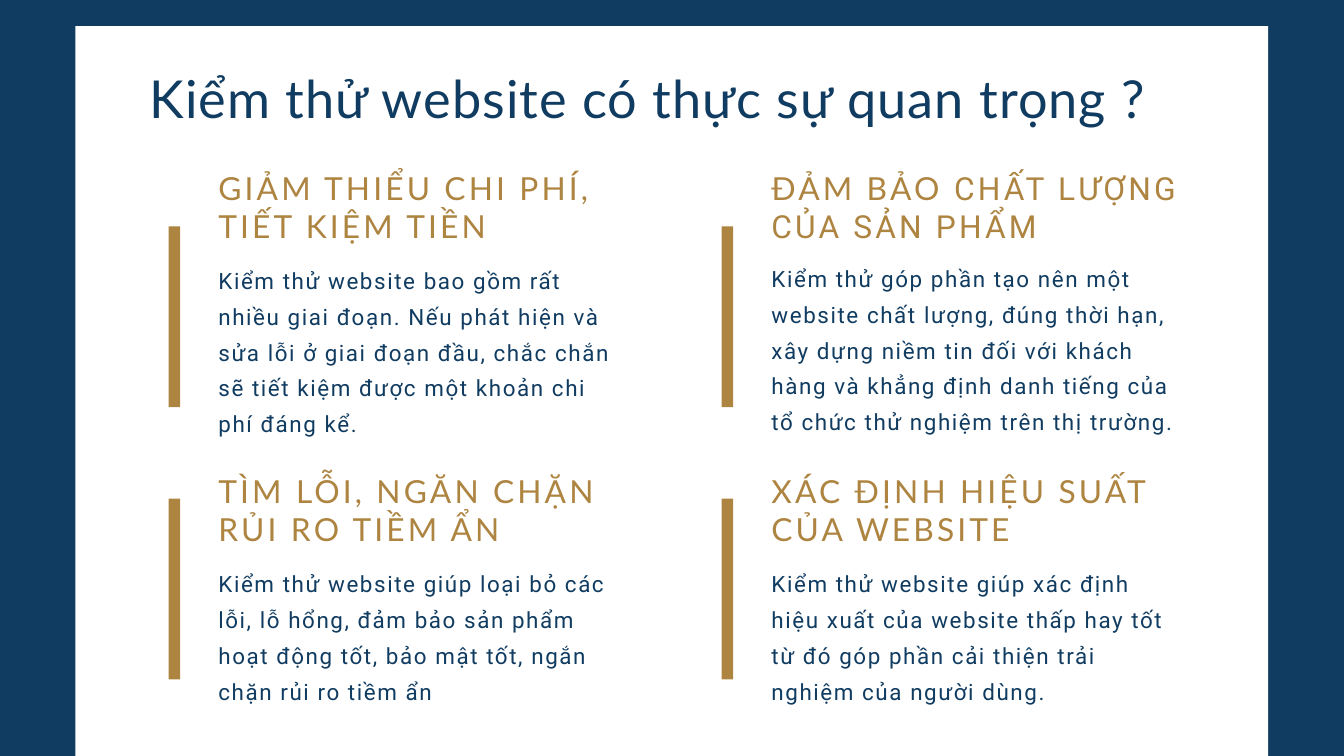
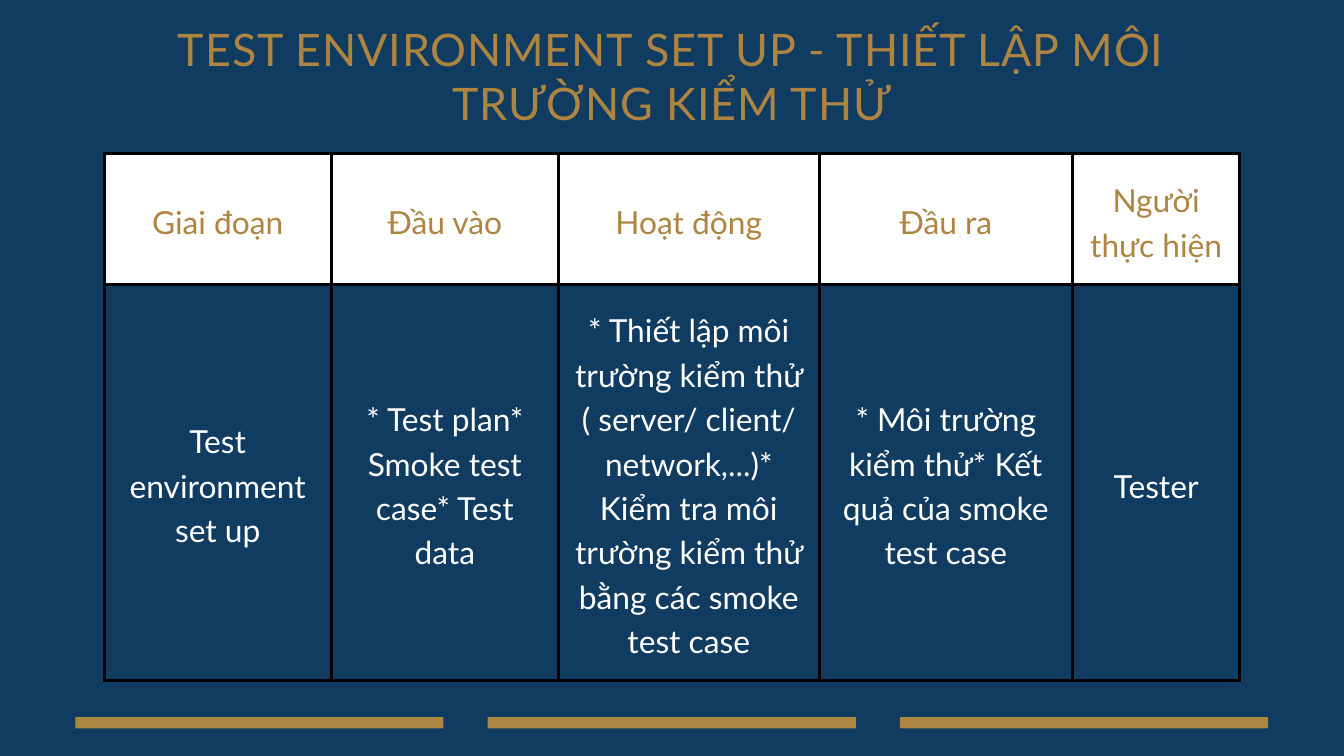
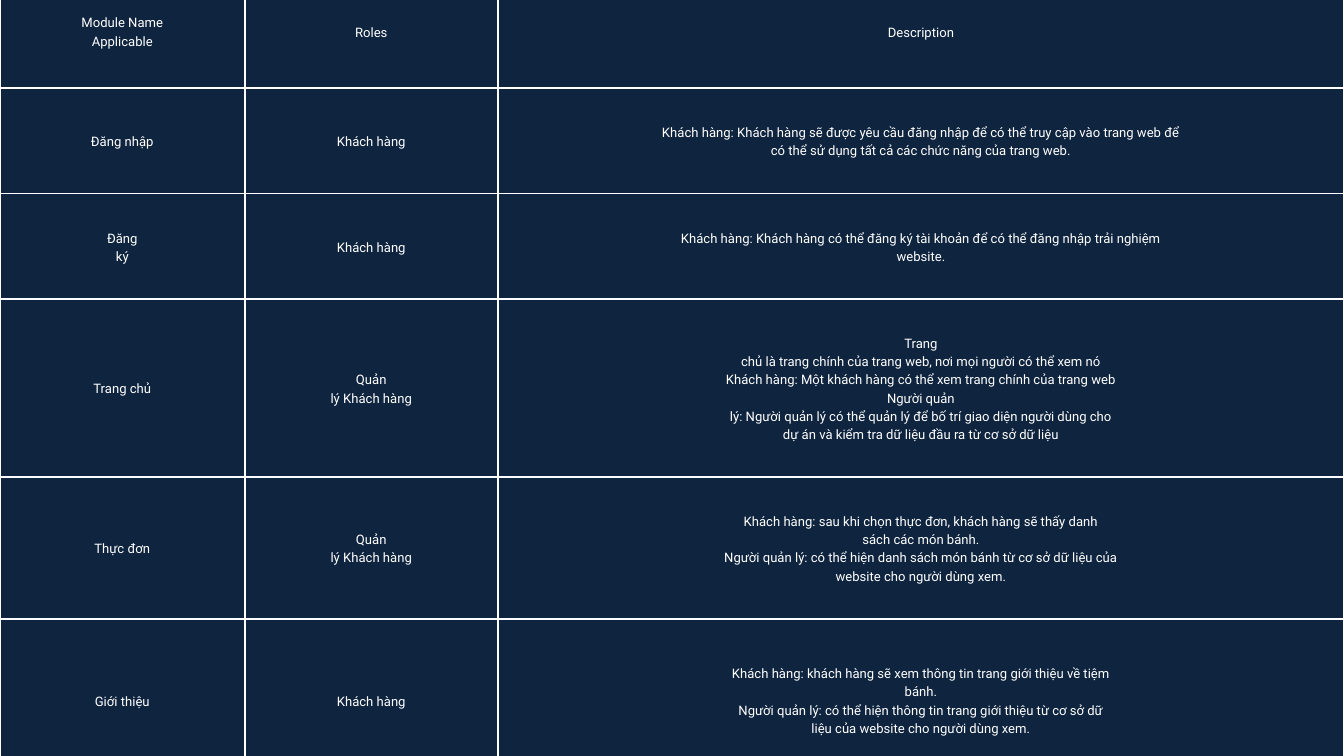
import pptx
import pptx.dml.color
import pptx.enum.shapes
import pptx.enum.text
import pptx.oxml
import pptx.oxml.ns
import pptx.util

# The grid has 20 columns and 11.25 rows; a unit is one inch.
COLUMNS, ROWS = 20, 11.25
MARGIN = 1.12
CONTENT_WIDTH = 17.75
BAR_THICKNESS = 0.17
CELL_INSET = 0.21

COLORS = {
    "navy": "113C61",
    "dark navy": "0F243E",
    "gold": "AE8441",
    "white": "FFFFFF",
    "black": "000000",
}

# font, size, colour, line spacing, letter spacing (all in points)
STYLES = {
    "question": ("Lato", 56, "navy", 73.4, 1.1),
    "title": ("Lato", 48, "gold", 57.6, 1),
    "heading": ("Lato", 34, "gold", 40.8, 3.4),
    "body": ("Roboto", 24, "navy", 38.4, 1.7),
    "stage header": ("Lato", 34, "gold", 47.6, 0),
    "stage cell": ("Lato", 34, "white", 47.6, 0),
    "module cell": ("Roboto", 14, "white", 19.6, 0),
}

BAR_COLUMNS = (2.51, 10.74)
BAR_ROWS = (3.37, 7.42)
HEADING_ROWS = (2.51, 7.02)
BAR_HEIGHT = 2.69
TEXT_INDENT = 0.74

# column, row, text width, body offset, body height, heading runs, body
REASONS = [
    (0, 0, 5.92, 1.33, 2.61, [("GIẢM THIỂU CHI PHÍ, TIẾT KIỆM TIỀN", "Lato")],
     "Kiểm thử website bao gồm rất nhiều giai đoạn. Nếu phát hiện và sửa lỗi "
     "ở giai đoạn đầu, chắc chắn sẽ tiết kiệm được một khoản chi phí đáng kể."),
    (0, 1, 5.92, 1.33, 2.08, [("TÌM LỖI, NGĂN CHẶN RỦI RO TIỀM ẨN", "Lato")],
     "Kiểm thử website giúp loại bỏ các lỗi, lỗ hổng, đảm bảo sản phẩm "
     "hoạt động tốt, bảo mật tốt, ngắn chặn rủi ro tiềm ẩn"),
    (1, 0, 6.29, 1.3, 2.61,
     [("ĐẢM BẢO ", "Lato"), ("CHẤT LƯỢNG CỦA SẢN PHẨM", "Roboto")],
     "Kiểm thử góp phần tạo nên một website chất lượng, đúng thời hạn, "
     "xây dựng niềm tin đối với khách hàng và khẳng định danh tiếng của "
     "tổ chức thử nghiệm trên thị trường."),
    (1, 1, 6.01, 1.33, 2.08, [("XÁC ĐỊNH HIỆU SUẤT CỦA WEBSITE", "Lato")],
     "Kiểm thử website giúp xác định hiệu xuất của website thấp hay tốt "
     "từ đó góp phần cải thiện trải nghiệm của người dùng."),
]

STAGE_WIDTHS = [3.38, 3.38, 3.88, 3.77, 2.49]
STAGE_HEADERS = ["Giai đoạn", "Đầu vào", "Hoạt động", "Đầu ra", "Người thực hiện"]
STAGE_VALUES = [
    "Test environment set up",
    "* Test plan* Smoke test case* Test data",
    "* Thiết lập môi trường kiểm thử ( server/ client/ network,...)* "
    "Kiểm tra môi trường kiểm thử bằng các smoke test case",
    "* Môi trường kiểm thử* Kết quả của smoke test case",
    "Tester",
]

MODULE_WIDTHS = [3.64, 3.77, 12.59]
MODULE_HEIGHTS = [1.69, 1.57, 1.57, 2.65, 2.11, 2.42]
MODULES = [
    ["Module Name\nApplicable", "Roles", "Description"],
    ["Đăng nhập", "Khách hàng",
     "Khách hàng: Khách hàng sẽ được yêu cầu đăng nhập để có thể truy cập vào trang web để\n"
     "có thể sử dụng tất cả các chức năng của trang web."],
    ["Đăng\nký", "Khách hàng",
     "Khách hàng: Khách hàng có thể đăng ký tài khoản để có thể đăng nhập trải nghiệm\n"
     "website."],
    ["Trang chủ", "Quản\nlý Khách hàng",
     "Trang\n"
     "chủ là trang chính của trang web, nơi mọi người có thể xem nó\n"
     "Khách hàng: Một khách hàng có thể xem trang chính của trang web\n"
     "Người quản\n"
     "lý: Người quản lý có thể quản lý để bố trí giao diện người dùng cho\n"
     "dự án và kiểm tra dữ liệu đầu ra từ cơ sở dữ liệu"],
    ["Thực đơn", "Quản\nlý Khách hàng",
     "Khách hàng: sau khi chọn thực đơn, khách hàng sẽ thấy danh\n"
     "sách các món bánh.\n"
     "Người quản lý: có thể hiện danh sách món bánh từ cơ sở dữ liệu của\n"
     "website cho người dùng xem."],
    ["Giới thiệu", "Khách hàng",
     "Khách hàng: khách hàng sẽ xem thông tin trang giới thiệu về tiệm\n"
     "bánh.\n"
     "Người quản lý: có thể hiện thông tin trang giới thiệu từ cơ sở dữ\n"
     "liệu của website cho người dùng xem."],
]


def color(name):
    return pptx.dml.color.RGBColor.from_string(COLORS[name])


def grid(*units):
    return [pptx.util.Inches(unit) for unit in units]


def add_slide(presentation, background):
    slide = presentation.slides.add_slide(presentation.slide_layouts[6])
    slide.background.fill.solid()
    slide.background.fill.fore_color.rgb = color(background)
    return slide


def add_rectangle(slide, area, fill):
    shape = slide.shapes.add_shape(
        pptx.enum.shapes.MSO_SHAPE.RECTANGLE, *grid(*area))
    shape.shadow.inherit = False
    shape.fill.solid()
    shape.fill.fore_color.rgb = color(fill)
    shape.line.fill.background()


def write_paragraph(paragraph, runs, style, centered=False):
    """Fill a paragraph with (text, font) runs; font None means the style's own."""
    font_name, size, ink, line_spacing, letter_spacing = STYLES[style]
    paragraph.line_spacing = pptx.util.Pt(line_spacing)
    if centered:
        paragraph.alignment = pptx.enum.text.PP_ALIGN.CENTER
    for text, run_font in runs:
        run = paragraph.add_run()
        run.text = text
        run.font.name = run_font or font_name
        run.font.size = pptx.util.Pt(size)
        run.font.color.rgb = color(ink)
        if letter_spacing:
            run._r.get_or_add_rPr().set("spc", str(round(letter_spacing * 100)))


def add_text(shapes, area, runs, style, centered=False):
    frame = shapes.add_textbox(*grid(*area)).text_frame
    frame.word_wrap = True
    frame.auto_size = pptx.enum.text.MSO_AUTO_SIZE.SHAPE_TO_FIT_TEXT
    frame.margin_left = frame.margin_top = 0
    frame.margin_right = frame.margin_bottom = 0
    write_paragraph(frame.paragraphs[0], runs, style, centered)


def set_borders(cell, ink, points):
    properties = cell._tc.get_or_add_tcPr()
    for side in ("lnL", "lnR", "lnT", "lnB"):
        properties.append(pptx.oxml.parse_xml(
            f'<a:{side} {pptx.oxml.ns.nsdecls("a")} w="{pptx.util.Pt(points)}">'
            f'<a:solidFill><a:srgbClr val="{COLORS[ink]}"/></a:solidFill>'
            f'</a:{side}>'))


def write_cell(cell, text, style, border, fill):
    set_borders(cell, *border)
    if fill:
        cell.fill.solid()
        cell.fill.fore_color.rgb = color(fill)
    else:
        cell.fill.background()
    cell.vertical_anchor = pptx.enum.text.MSO_ANCHOR.MIDDLE
    inset = pptx.util.Inches(CELL_INSET)
    cell.margin_left = cell.margin_right = inset
    cell.margin_top = cell.margin_bottom = inset
    frame = cell.text_frame
    for index, line in enumerate(text.split("\n")):
        paragraph = frame.add_paragraph() if index else frame.paragraphs[0]
        write_paragraph(paragraph, [(line, None)], style, centered=True)


def add_grid_table(slide, left, top, widths, heights, content, style, border, fill=None):
    area = grid(left, top, sum(widths), sum(heights))
    table = slide.shapes.add_table(len(heights), len(widths), *area).table
    table.first_row = table.horz_banding = False
    for column, width in zip(table.columns, grid(*widths)):
        column.width = width
    for row, height, texts in zip(table.rows, grid(*heights), content):
        row.height = height
        for cell, text in zip(row.cells, texts):
            write_cell(cell, text, style, border, fill)


def add_reason(slide, column, row, width, body_offset, body_height, heading, body):
    """Add a grouped heading and body with the gold bar to their left."""
    bar_left, top = BAR_COLUMNS[column], HEADING_ROWS[row]
    left = bar_left + TEXT_INDENT
    group = slide.shapes.add_group_shape()
    add_text(group.shapes, (left, top + body_offset, width, body_height),
             [(body, None)], "body")
    add_text(group.shapes, (left, top, width, 1.13), heading, "heading")
    add_rectangle(slide, (bar_left, BAR_ROWS[row], BAR_THICKNESS, BAR_HEIGHT), "gold")


def add_footer_bars(slide, count=3, width=5.48):
    step = (CONTENT_WIDTH - width) / (count - 1)
    for index in range(count):
        add_rectangle(
            slide, (MARGIN + index * step, 10.67, width, BAR_THICKNESS), "gold")


def build_reasons(presentation):
    slide = add_slide(presentation, "navy")
    panel_top = 0.39
    add_rectangle(
        slide, (MARGIN, panel_top, CONTENT_WIDTH, ROWS - panel_top), "white")
    add_text(slide.shapes, (2.23, 0.9, 15.55, 1.01),
             [("Kiểm thử website có thực sự quan trọng ?", None)], "question")
    for reason in REASONS:
        add_reason(slide, *reason)


def build_environment(presentation):
    slide = add_slide(presentation, "navy")
    left, top, header_height, body_height = 1.55, 2.29, 1.95, 5.89
    border = ("black", 3.75)
    add_grid_table(slide, left, top + header_height, STAGE_WIDTHS, [body_height],
                   [STAGE_VALUES], "stage cell", border)
    add_rectangle(slide, (left, top, sum(STAGE_WIDTHS), header_height), "white")
    add_grid_table(slide, left, top, STAGE_WIDTHS, [header_height],
                   [STAGE_HEADERS], "stage header", border)
    add_text(slide.shapes, (2.21, 0.33, 15.58, 1.58),
             [("TEST ENVIRONMENT SET UP - THIẾT LẬP MÔI TRƯỜNG KIỂM THỬ", None)],
             "title", centered=True)
    add_footer_bars(slide)


def build_modules(presentation):
    slide = add_slide(presentation, "white")
    overhang = (sum(MODULE_HEIGHTS) - ROWS) / 2
    add_grid_table(slide, 0, -overhang, MODULE_WIDTHS, MODULE_HEIGHTS, MODULES,
                   "module cell", ("white", 2.25), "dark navy")


def main():
    presentation = pptx.Presentation()
    presentation.slide_width, presentation.slide_height = grid(COLUMNS, ROWS)
    build_reasons(presentation)
    build_environment(presentation)
    build_modules(presentation)
    presentation.save("out.pptx")


if __name__ == "__main__":
    main()
